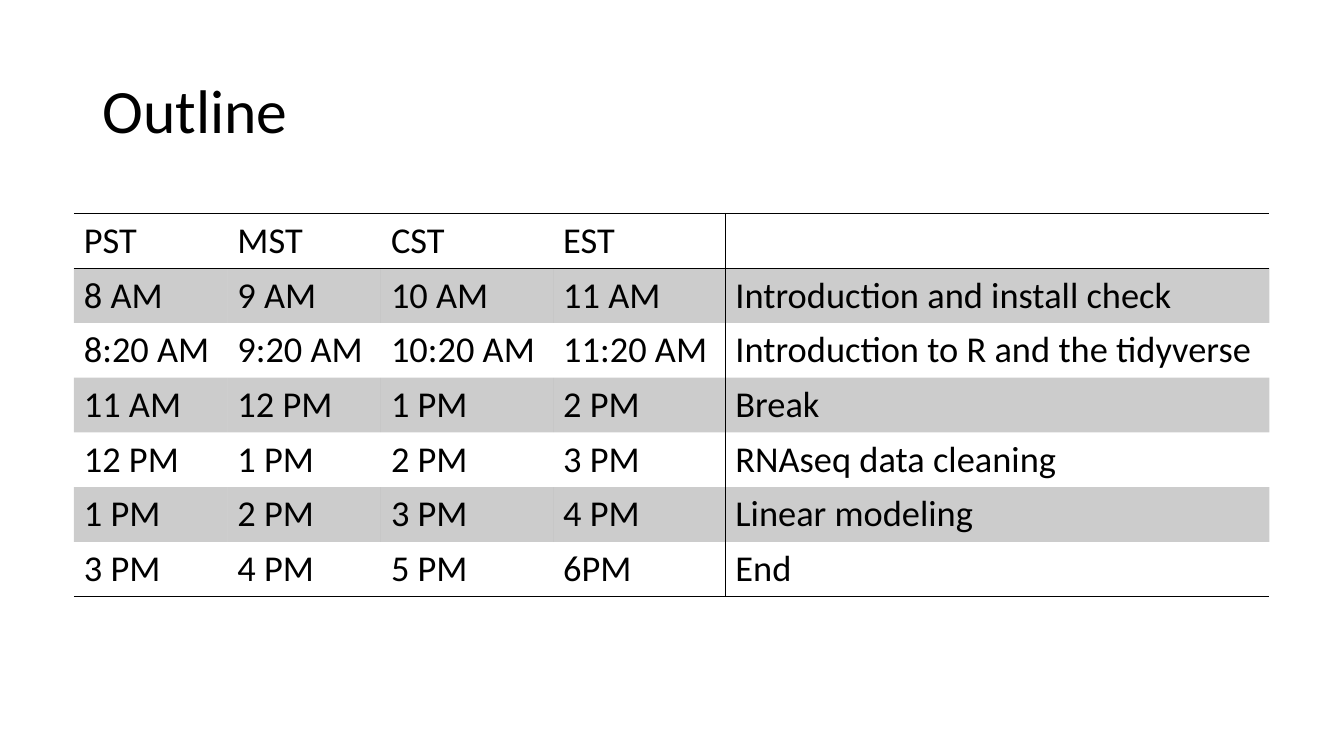
from lxml.etree import SubElement
from pptx import Presentation
from pptx.dml.color import RGBColor as RGB
from pptx.enum.text import MSO_ANCHOR as Anchor
from pptx.oxml import parse_xml
from pptx.oxml.ns import nsdecls, qn
from pptx.util import Cm, Pt

BLACK = "000000"
NO_STYLE = "{2D5ABB26-0587-4C30-8999-92F81FD0307C}"
COLUMN_WIDTHS = [3.87, 3.87, 4.34, 4.34, 13.71]
ROW_HEIGHT = 1.38
SCHEDULE = [
    ["PST", "MST", "CST", "EST", ""],
    ["8 AM", "9 AM", "10 AM", "11 AM", "Introduction and install check"],
    ["8:20 AM", "9:20 AM", "10:20 AM", "11:20 AM", "Introduction to R and the tidyverse"],
    ["11 AM", "12 PM", "1 PM", "2 PM", "Break"],
    ["12 PM", "1 PM", "2 PM", "3 PM", "RNAseq data cleaning"],
    ["1 PM", "2 PM", "3 PM", "4 PM", "Linear modeling"],
    ["3 PM", "4 PM", "5 PM", "6PM", "End"],
]


def color(value):
    return RGB.from_string(value)


def apply_format(obj, values):
    for name, value in values.items():
        setattr(obj, name, value)


def write(p, text, size):
    r = p.add_run()
    r.text = text
    apply_format(r.font, {"name": "Calibri", "size": Pt(size), "bold": False})
    r.font.color.rgb = color(BLACK)


def add_title(s, text):
    sp = s.shapes.title
    apply_format(sp, {"left": Cm(2.33), "top": Cm(1.01), "width": Cm(29.21), "height": Cm(3.68)})
    tf = sp.text_frame
    apply_format(tf, {"vertical_anchor": Anchor.MIDDLE, "word_wrap": True})
    p = tf.paragraphs[0]
    apply_format(p, {"line_spacing": 0.9, "alignment": 1})
    write(p, text, 44)


def shade(cell, alpha):
    cell.fill.solid()
    cell.fill.fore_color.rgb = color(BLACK)
    rgb = cell._tc.tcPr.find(".//" + qn("a:srgbClr"))
    SubElement(rgb, qn("a:alpha"), val=str(alpha * 1000))


def set_borders(cell, sides):
    tc_pr = cell._tc.get_or_add_tcPr()
    for i, side in enumerate(sides):
        tc_pr.insert(i, parse_xml(
            f'<a:ln{side} {nsdecls("a")} w="{Pt(1)}"><a:solidFill>'
            f'<a:srgbClr val="{BLACK}"/></a:solidFill></a:ln{side}>'))


def border_sides(row, col):
    last_row, last_col = len(SCHEDULE) - 1, len(COLUMN_WIDTHS) - 1
    tests = {
        "L": col == last_col,
        "R": col == last_col - 1,
        "T": row == 0,
        "B": row in (0, last_row),
    }
    return [side for side, drawn in tests.items() if drawn]


def add_schedule(s, rows):
    frame = s.shapes.add_table(
        len(rows), len(COLUMN_WIDTHS), Cm(1.86), Cm(5.38),
        Cm(sum(COLUMN_WIDTHS)), Cm(ROW_HEIGHT * len(rows)))
    table = frame.table
    apply_format(table, {"first_row": False, "horz_banding": False})
    table._tbl.tblPr.find(qn("a:tableStyleId")).text = NO_STYLE
    for column, width in zip(table.columns, COLUMN_WIDTHS):
        column.width = Cm(width)
    for i, texts in enumerate(rows):
        table.rows[i].height = Cm(ROW_HEIGHT)
        for j, text in enumerate(texts):
            cell = table.cell(i, j)
            if text:
                write(cell.text_frame.paragraphs[0], text, 26)
            if i % 2:
                shade(cell, 20)
            else:
                cell.fill.background()
            set_borders(cell, border_sides(i, j))


def main():
    prs = Presentation()
    apply_format(prs, {"slide_width": Cm(33.87), "slide_height": Cm(19.05)})
    s = prs.slides.add_slide(prs.slide_layouts[5])
    add_title(s, "Outline")
    add_schedule(s, SCHEDULE)
    prs.save("out.pptx")


if __name__ == "__main__":
    main()
